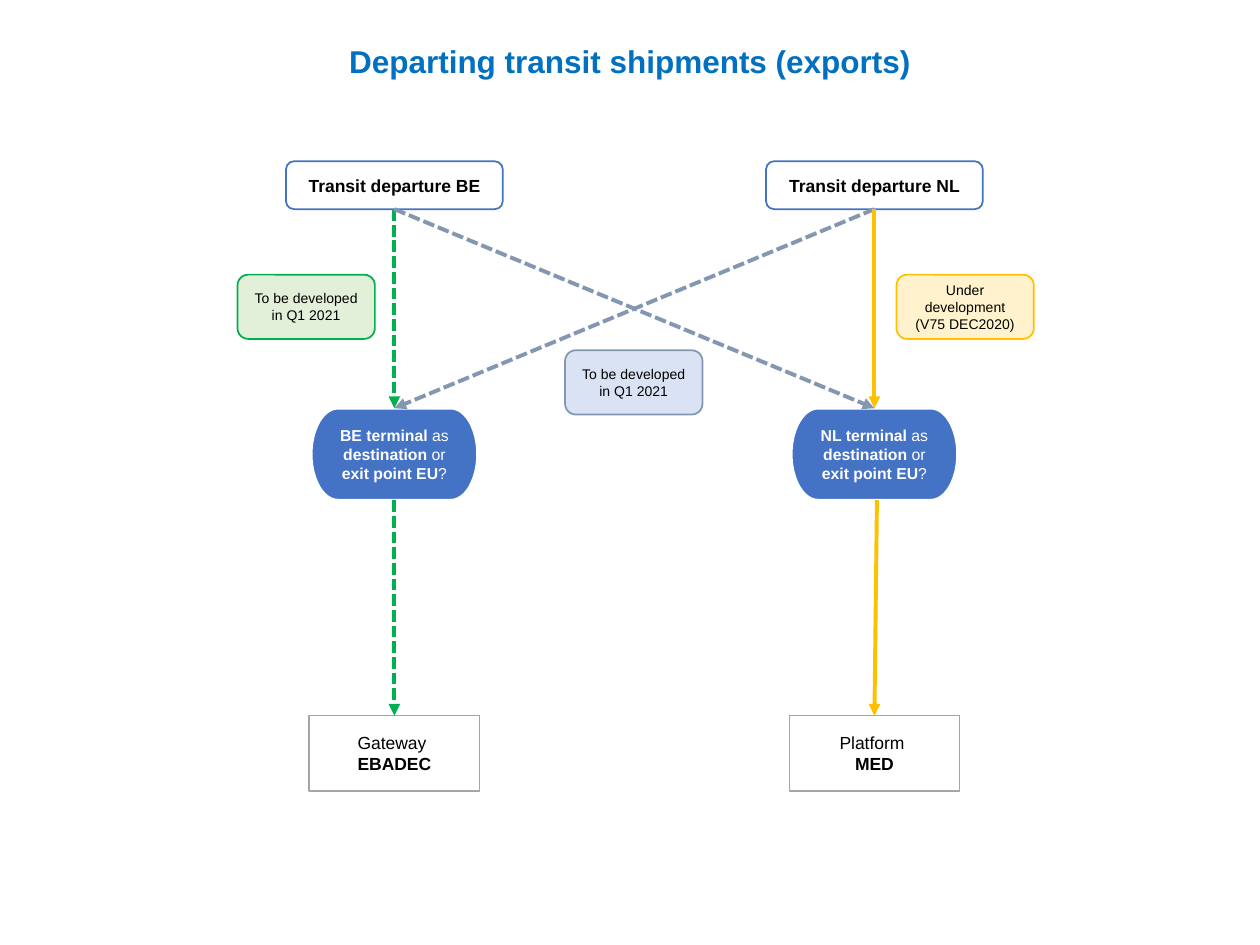
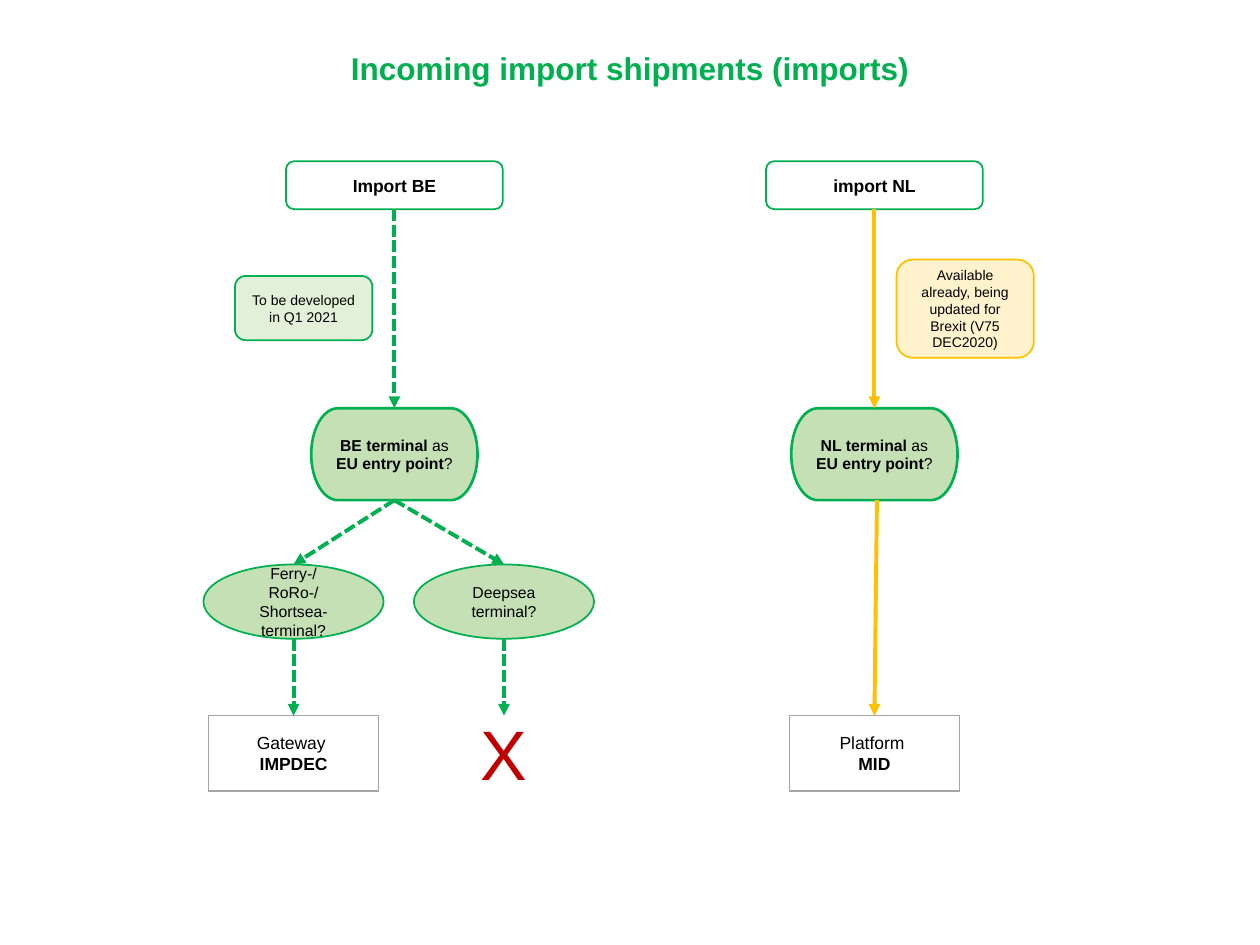
from lxml.etree import SubElement
from pptx import Presentation
from pptx.dml.color import RGBColor
from pptx.enum.dml import MSO_LINE
from pptx.enum.shapes import MSO_CONNECTOR, MSO_SHAPE
from pptx.enum.text import MSO_ANCHOR, PP_ALIGN
from pptx.oxml.ns import qn
from pptx.util import Inches, Pt

FONT = "Arial"
COLORS = {
    "white": "FFFFFF", "black": "000000", "grey": "A5A5A5",
    "blue": "4472C4", "title_blue": "0070C0",
    "green": "00B050", "green_mid": "C5E0B4", "green_light": "E2F0D9",
    "amber": "FFC000", "amber_light": "FFF2CC",
    "slate": "8497B0", "slate_light": "DAE3F3", "red": "C00000",
}

# Columns are centre lines, rows are (top, height); all in inches.
BE, NL, MIDDLE = 3.13, 6.94, 5.03
FERRY, DEEPSEA = 2.33, 4.0
START, QUESTION, BRANCH, SYSTEM = (1.28, 0.38), (3.24, 0.73), (4.48, 0.59), (5.68, 0.6)
START_WIDTH, QUESTION_WIDTH, BRANCH_WIDTH, SYSTEM_WIDTH, NOTE_WIDTH = 1.72, 1.32, 1.43, 1.35, 1.09
NOTE_HEIGHT = 0.51
NL_NOTE = 7.66


def rgb(name):
    """Return the named colour."""
    return RGBColor.from_string(COLORS[name])


def bottom(row):
    """Return the lower edge of a row."""
    return row[0] + row[1]


def write(frame, paragraphs, size, color):
    """Fill a text frame; each paragraph is a list of (text, bold) runs."""
    for index, runs in enumerate(paragraphs):
        paragraph = frame.paragraphs[0] if index == 0 else frame.add_paragraph()
        paragraph.alignment = PP_ALIGN.CENTER
        font = paragraph.font
        font.name, font.size, font.color.rgb = FONT, Pt(size), rgb(color)
        weights = {bold for _, bold in runs}
        if len(weights) == 1:
            font.bold = weights.pop()
        for text, bold in runs:
            run = paragraph.add_run()
            run.text = text
            if font.bold is None:
                run.font.bold = bold


def add_title(slide, text, top, color):
    """Place the slide title in its placeholder."""
    title = slide.shapes.title
    title.left, title.top, title.width, title.height = map(Inches, (2.65, top, 4.7, 0.4))
    title.text_frame.word_wrap = False
    title.text_frame.vertical_anchor = MSO_ANCHOR.MIDDLE
    write(title.text_frame, [[(text, True)]], 18, color)


def add_box(slide, kind, column, row, width, paragraphs, size, fill, line,
            ink="black", weight=1):
    """Draw a filled shape with text, centred on a column."""
    top, height = row
    box = slide.shapes.add_shape(
        kind, *map(Inches, (column - width / 2, top, width, height)))
    box.shadow.inherit = False
    box.fill.solid()
    box.fill.fore_color.rgb = rgb(fill)
    box.line.color.rgb = rgb(line)
    box.line.width = Pt(weight)
    box.text_frame.word_wrap = True
    box.text_frame.vertical_anchor = MSO_ANCHOR.MIDDLE
    write(box.text_frame, paragraphs, size, ink)


def add_start(slide, column, text, line):
    """Draw the box in which a flow begins."""
    add_box(slide, MSO_SHAPE.ROUNDED_RECTANGLE, column, START, START_WIDTH,
            [[(text, True)]], 10, "white", line)


def add_question(slide, column, paragraphs, fill, line, ink):
    """Draw a terminal question."""
    add_box(slide, MSO_SHAPE.FLOWCHART_TERMINATOR, column, QUESTION, QUESTION_WIDTH,
            paragraphs, 9, fill, line, ink, 1.5)


def add_branch(slide, column, *lines):
    """Draw an oval for one type of terminal."""
    add_box(slide, MSO_SHAPE.OVAL, column, BRANCH, BRANCH_WIDTH,
            [[(line, False)] for line in lines], 9, "green_mid", "green")


def add_system(slide, column, system, message):
    """Draw the system and message in which a flow ends."""
    add_box(slide, MSO_SHAPE.RECTANGLE, column, SYSTEM, SYSTEM_WIDTH,
            [[(system + " ", False)], [(message, True)]], 10, "white", "grey")


def add_note(slide, column, top, text, tone, height=NOTE_HEIGHT):
    """Draw a status note in a light tint of its tone."""
    add_box(slide, MSO_SHAPE.ROUNDED_RECTANGLE, column, (top, height), NOTE_WIDTH,
            [[(text, False)]], 8, tone + "_light", tone)


def add_arrow(slide, from_column, from_row, to_column, to_row, color, dashed=True):
    """Draw an arrow from the bottom of one row to the top of another."""
    ends = from_column, bottom(from_row), to_column, to_row[0]
    arrow = slide.shapes.add_connector(MSO_CONNECTOR.STRAIGHT, *map(Inches, ends))
    arrow.line.color.rgb = rgb(color)
    arrow.line.width = Pt(2.25)
    if dashed:
        arrow.line.dash_style = MSO_LINE.SQUARE_DOT
    properties = arrow.line._get_or_add_ln()
    SubElement(properties, qn("a:tailEnd"), type="triangle")
    SubElement(properties.getparent(), qn("a:effectLst"))


def add_dead_end(slide, column):
    """Mark a branch that leads to no system."""
    width = 0.58
    mark = slide.shapes.add_textbox(
        *map(Inches, (column - width / 2, 5.59, width, 0.77)))
    mark.text_frame.word_wrap = False
    write(mark.text_frame, [[("X", False)]], 40, "red")


def add_nl_arrows(slide):
    """Draw the solid Dutch flow from start to system."""
    add_arrow(slide, NL, START, NL, QUESTION, "amber", dashed=False)
    add_arrow(slide, NL + 0.02, QUESTION, NL, SYSTEM, "amber", dashed=False)


def build_exports(slide):
    """Build the flow of departing shipments."""
    add_title(slide, "Departing transit shipments (exports)", 0.28, "title_blue")
    for column, country, system, message in ((BE, "BE", "Gateway", "EBADEC"),
                                             (NL, "NL", "Platform", "MED")):
        add_start(slide, column, f"Transit departure {country}", "blue")
        add_question(slide, column, [
            [(f"{country} terminal ", True), ("as ", False),
             ("destination", True), (" or", False)],
            [("exit point EU", True), ("?", False)],
        ], "blue", "white", "white")
        add_system(slide, column, system, message)
    add_arrow(slide, BE, QUESTION, BE, SYSTEM, "green")
    add_arrow(slide, BE, START, BE, QUESTION, "green")
    add_arrow(slide, NL, START, BE, QUESTION, "slate")
    add_arrow(slide, BE, START, NL, QUESTION, "slate")
    add_nl_arrows(slide)
    add_note(slide, NL_NOTE, 2.18, "Under development (V75 DEC2020)", "amber")
    add_note(slide, 2.43, 2.18, "To be developed in Q1 2021", "green")
    add_note(slide, MIDDLE, 2.78, "To be developed in Q1 2021", "slate")


def build_imports(slide):
    """Build the flow of incoming shipments."""
    add_title(slide, "Incoming import shipments (imports)", 0.34, "green")
    for column, country, start in ((BE, "BE", "Import BE"), (NL, "NL", "import NL")):
        add_start(slide, column, start, "green")
        add_question(slide, column, [
            [(f"{country} terminal ", True), ("as ", False),
             ("EU entry point", True), ("?", False)],
        ], "green_mid", "green", "black")
    add_branch(slide, FERRY, "Ferry-/RoRo-/Shortsea-", "terminal?")
    add_branch(slide, DEEPSEA, "Deepsea", "terminal?")
    add_system(slide, FERRY, "Gateway", "IMPDEC")
    add_system(slide, NL, "Platform", "MID")
    add_dead_end(slide, DEEPSEA)
    add_arrow(slide, BE, START, BE, QUESTION, "green")
    for column in (FERRY, DEEPSEA):
        add_arrow(slide, BE, QUESTION, column, BRANCH, "green")
        add_arrow(slide, column, BRANCH, column, SYSTEM, "green")
    add_nl_arrows(slide)
    add_note(slide, NL_NOTE, 2.06,
             "Available already, being updated for Brexit (V75 DEC2020)", "amber", 0.78)
    add_note(slide, 2.41, 2.19, "To be developed in Q1 2021", "green")


def main():
    """Build and save both slides."""
    deck = Presentation()
    deck.slide_width, deck.slide_height = Inches(10), Inches(7.5)
    title_only = deck.slide_layouts[5]
    for build in (build_exports, build_imports):
        build(deck.slides.add_slide(title_only))
    deck.save("out.pptx")


main()
